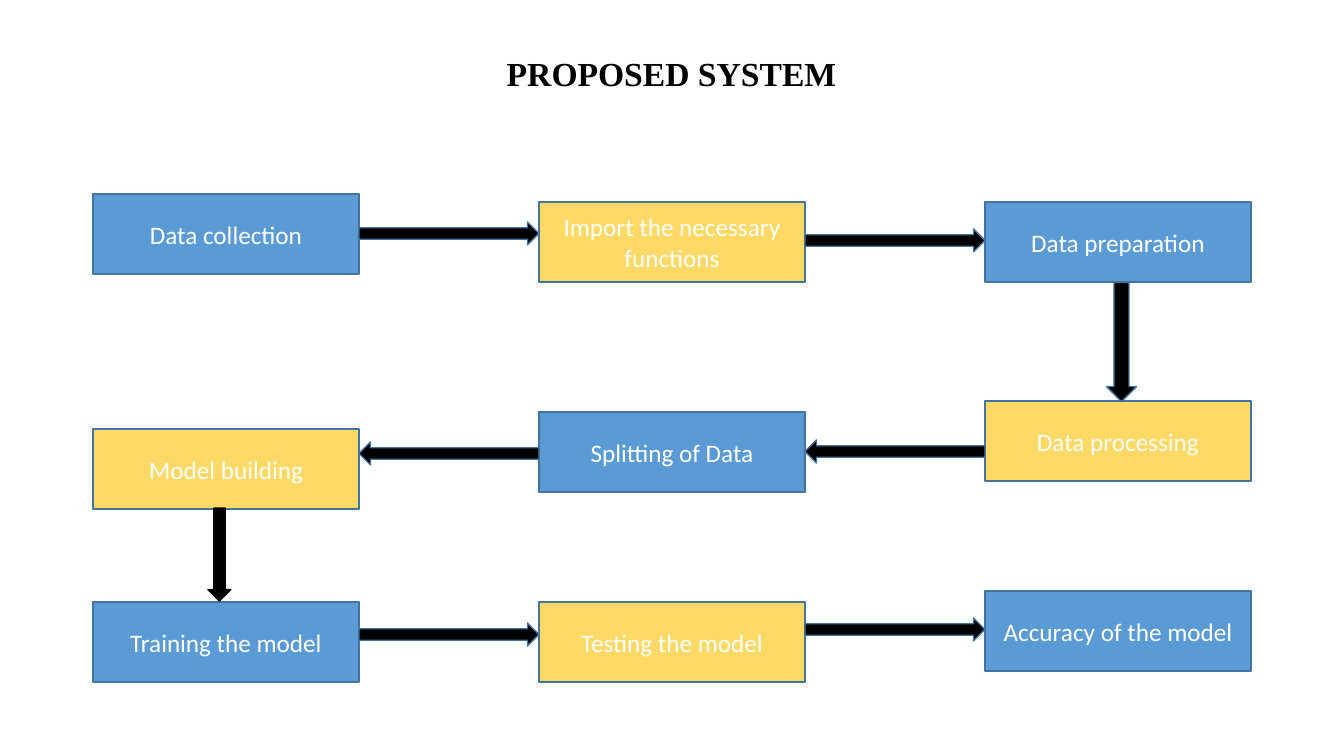
from dataclasses import dataclass
from pptx import Presentation
from pptx.dml.color import RGBColor
from pptx.enum.shapes import MSO_SHAPE
from pptx.enum.text import MSO_ANCHOR, PP_ALIGN
from pptx.util import Emu, Pt

RECT = MSO_SHAPE.RECTANGLE
RIGHT = MSO_SHAPE.RIGHT_ARROW
DOWN = MSO_SHAPE.DOWN_ARROW
MIDDLE = MSO_ANCHOR.MIDDLE
CENTER = PP_ALIGN.CENTER
SCALE = 914400 / 100.8


@dataclass(frozen=True)
class Theme:
    blue: str = "5B9BD5"
    gold: str = "FFD966"
    edge: str = "43739E"
    black: str = "000000"
    white: str = "FFFFFF"
    head: str = "Times New Roman"
    body: str = "Calibri"
    large: int = 24
    small: int = 18
    line: int = 1


THEME = Theme()
LEFT, STEP, WIDTH, HEIGHT = 93, 446, 266, 80
GAP = STEP - WIDTH
STEPS = [
    (0, 194, "Data collection"),
    (1, 202, "Import the necessary functions"),
    (2, 202, "Data preparation"),
    (2, 401, "Data processing"),
    (1, 412, "Splitting of Data"),
    (0, 429, "Model building"),
    (0, 602, "Training the model"),
    (1, 602, "Testing the model"),
    (2, 591, "Accuracy of the model"),
]
LINKS = [
    (0, 222, 0), (1, 229, 0),
    (0, 623, 0), (1, 618, 0),
    (0, 442, 180), (1, 440, 180),
]


def px(size):
    return Emu(round(size * SCALE))


def rgb(code):
    return RGBColor.from_string(code)


def write(shape, text, *, font=THEME.body, size=THEME.small,
          color=THEME.white, bold=False, space=1.0):
    frame = shape.text_frame
    frame.word_wrap = True
    frame.vertical_anchor = MIDDLE
    para = frame.paragraphs[0]
    para.alignment = CENTER
    para.line_spacing = space
    run = para.add_run()
    run.text = text
    run.font.name = font
    run.font.size = Pt(size)
    run.font.bold = bold
    run.font.color.rgb = rgb(color)


def draw(slide, kind, box, fill, edge=THEME.edge, turn=0):
    shape = slide.shapes.add_shape(kind, *map(px, box))
    shape.shadow.inherit = False
    shape.fill.solid()
    shape.fill.fore_color.rgb = rgb(fill)
    shape.line.color.rgb = rgb(edge)
    shape.line.width = Pt(THEME.line)
    shape.rotation = turn
    return shape


def add_title(slide, text):
    box = slide.shapes.add_textbox(*map(px, (92, 40, 1159, 146)))
    box.text_frame.margin_bottom = px(79)
    write(box, text, font=THEME.head, size=THEME.large,
          color=THEME.black, bold=True, space=0.9)


def add_step(slide, index, col, top, text):
    fill = THEME.gold if index % 2 else THEME.blue
    box = (LEFT + col * STEP, top, WIDTH, HEIGHT)
    write(draw(slide, RECT, box, fill), text)


def add_link(slide, col, top, turn):
    box = (LEFT + WIDTH + col * STEP, top, GAP, 23)
    draw(slide, RIGHT, box, THEME.black, turn=turn)


def main():
    deck = Presentation()
    deck.slide_width, deck.slide_height = px(1344), px(756)
    slide = deck.slides.add_slide(deck.slide_layouts[6])
    add_title(slide, "PROPOSED SYSTEM")
    for index, step in enumerate(STEPS):
        add_step(slide, index, *step)
    for link in LINKS:
        add_link(slide, *link)
    draw(slide, RIGHT, (1062, 327, 119, 30), THEME.black, turn=90)
    draw(slide, DOWN, (208, 508, 23, 93), THEME.black, edge=THEME.black)
    deck.save("out.pptx")


if __name__ == "__main__":
    main()
